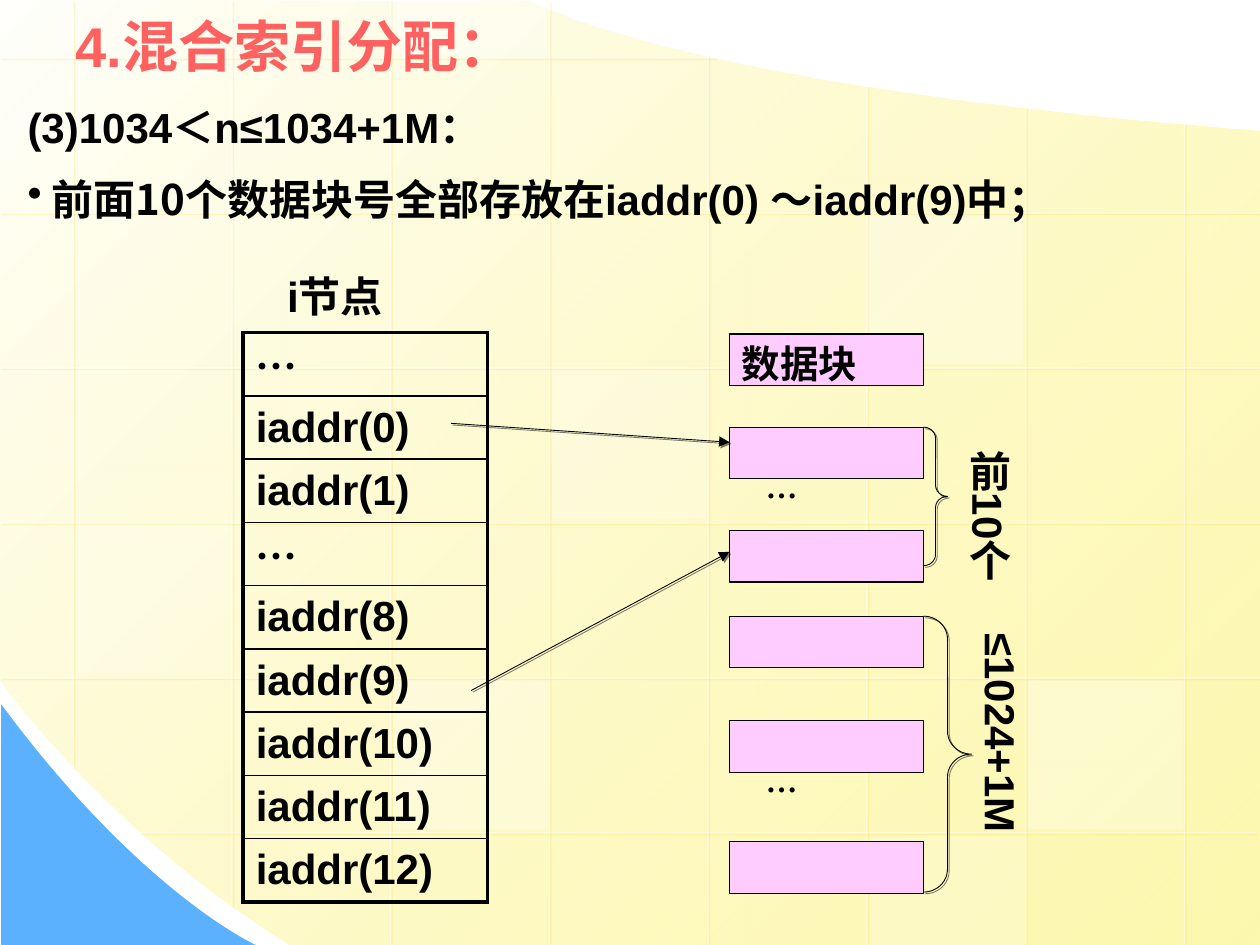
from dataclasses import dataclass

from lxml.etree import SubElement
from pptx import Presentation
from pptx.dml.color import RGBColor as RGB
from pptx.enum.shapes import MSO_CONNECTOR as CONN, MSO_SHAPE as SHAPE
from pptx.enum.text import MSO_ANCHOR as ANCHOR, PP_ALIGN as ALIGN
from pptx.oxml.ns import qn
from pptx.util import Inches, Pt


@dataclass(frozen=True)
class Theme:
    ink: str = "000000"
    title: str = "FF6161"
    white: str = "FFFFFF"
    cream: str = "FFFFFB"
    yellow: str = "FDF58D"
    gold: str = "FFCC00"
    blue: str = "5CB1FE"
    block: str = "FFCCFF"
    latin: str = "Arial"
    serif: str = "Times New Roman"
    cjk: str = "Noto Sans CJK SC"
    title_size: int = 32
    body_size: int = 24
    block_size: int = 22
    dots_size: int = 18


def add(parent, tag, **attrs):
    return SubElement(parent, qn(tag), {k: str(v) for k, v in attrs.items()})


def set_alpha(color, percent):
    add(color, "a:alpha", val=percent * 1000)


def add_shadow(effects, color, percent):
    shadow = add(effects, "a:outerShdw", dist=Pt(1.4), dir=2700000,
                 algn="ctr", rotWithShape=0)
    set_alpha(add(shadow, "a:srgbClr", val=color), percent)


def bezier(p0, p1, p2, p3, steps=40):
    for i in range(1, steps + 1):
        t = i / steps
        u = 1 - t
        yield tuple(u**3 * a + 3 * u * u * t * b + 3 * u * t * t * c + t**3 * d
                    for a, b, c, d in zip(p0, p1, p2, p3))


class SlideBuilder:
    def __init__(self, slide, theme):
        self.slide = slide
        self.theme = theme
        self.shapes = slide.shapes

    def style(self, p, size, name=None, color=None, shadow=False):
        font = p.font
        font.size, font.bold = Pt(size), True
        font.color.rgb = RGB.from_string(color or self.theme.ink)
        font.name = name or self.theme.latin
        props = p._p.pPr.find(qn("a:defRPr"))
        ea = add(props, "a:ea", typeface=self.theme.cjk)
        props.find(qn("a:latin")).addnext(ea)
        if shadow:
            effects = add(props, "a:effectLst")
            props.find(qn("a:solidFill")).addnext(effects)
            add_shadow(effects, self.theme.ink, 50)

    def text(self, box, text, size, anchor=ANCHOR.TOP, vertical=False, **look):
        tf = self.shapes.add_textbox(*map(Inches, box)).text_frame
        tf.word_wrap = True
        tf.vertical_anchor = anchor
        if vertical:
            tf._txBody.bodyPr.set("vert", "eaVert")
        p = tf.paragraphs[0]
        p.add_run().text = text
        self.style(p, size, **look)
        return tf

    def bullet(self, tf, runs):
        p = tf.add_paragraph()
        p.space_before = Pt(12)
        props = p._p.get_or_add_pPr()
        props.set("marL", str(Inches(0.19)))
        props.set("indent", str(-Inches(0.19)))
        add(add(props, "a:buClr"), "a:srgbClr", val=self.theme.ink)
        add(props, "a:buChar", char="•")
        for text, name in runs:
            r = p.add_run()
            r.text, r.font.name = text, name
        self.style(p, self.theme.body_size, shadow=True)

    def line(self, start, end, color, width, alpha=100, shadow=None, arrow=False):
        ln = self.shapes.add_connector(CONN.STRAIGHT, *map(Inches, start + end))
        ln.line.color.rgb = RGB.from_string(color)
        ln.line.width = Pt(width)
        props = ln._element.spPr
        if alpha < 100:
            set_alpha(next(props.iter(qn("a:srgbClr"))), alpha)
        if arrow:
            add(props.find(qn("a:ln")), "a:tailEnd", type="triangle")
        effects = add(props, "a:effectLst")
        if shadow:
            add_shadow(effects, *shadow)

    def rect(self, box, color, alpha=100, border=None):
        sp = self.shapes.add_shape(SHAPE.RECTANGLE, *map(Inches, box))
        sp.shadow.inherit = False
        sp.fill.solid()
        sp.fill.fore_color.rgb = RGB.from_string(color)
        if alpha < 100:
            set_alpha(next(sp._element.spPr.iter(qn("a:srgbClr"))), alpha)
        if border:
            sp.line.color.rgb = RGB.from_string(self.theme.ink)
            sp.line.width = Pt(border)
        else:
            sp.line.fill.background()
        return sp

    def block(self, top, label=None):
        sp = self.rect((5.79, top, 1.54, 0.41), self.theme.block, border=0.75)
        if label:
            tf = sp.text_frame
            tf.vertical_anchor = ANCHOR.TOP
            p = tf.paragraphs[0]
            p.alignment = ALIGN.LEFT
            p.add_run().text = label
            self.style(p, self.theme.block_size, self.theme.serif)

    def brace(self, box, curve):
        sp = self.shapes.add_shape(SHAPE.RIGHT_BRACE, *map(Inches, box))
        sp.adjustments[0] = curve
        sp.fill.background()
        sp.line.color.rgb = RGB.from_string(self.theme.ink)
        sp.line.width = Pt(0.5)
        sp.shadow.inherit = False
        add_shadow(sp._element.spPr.find(qn("a:effectLst")), self.theme.ink, 50)

    def outline(self, points):
        x, y = points[0]
        fb = self.shapes.build_freeform(Inches(x), Inches(y))
        fb.add_line_segments([(Inches(a), Inches(b)) for a, b in points[1:]])
        sp = fb.convert_to_shape()
        sp.shadow.inherit = False
        sp.line.fill.background()
        return sp

    def table(self, box, labels):
        tbl = self.shapes.add_table(len(labels), 1, *map(Inches, box)).table
        tbl.first_row = tbl.horz_banding = False
        last = len(labels) - 1
        for i, label in enumerate(labels):
            cell = tbl.cell(i, 0)
            cell.fill.background()
            cell.margin_top = cell.margin_bottom = 0
            cell.vertical_anchor = ANCHOR.MIDDLE
            p = cell.text_frame.paragraphs[0]
            p.add_run().text = label
            self.style(p, self.theme.body_size,
                       self.theme.cjk if label == "…" else None)
            widths = {"L": 2.25, "R": 2.25, "T": 1 if i else 2.25,
                      "B": 1 if i < last else 2.25}
            props = cell._tc.tcPr
            for pos, (side, width) in enumerate(widths.items()):
                ln = add(props, f"a:ln{side}", w=Pt(width))
                add(add(ln, "a:solidFill"), "a:srgbClr", val=self.theme.ink)
                props.insert(pos, ln)


def draw_background(s, theme):
    page = s.outline([(10, 1.04), (10, 7.5), (2.3, 7.5),
                      *bezier((2.3, 7.5), (0.86, 6.61), (-0.01, 5.39), (0, 5.39)),
                      (0, 0), (4.21, 0.01),
                      *bezier((4.21, 0.01), (4.21, 0.01), (5.37, 0.69), (10, 1.04))])
    page.fill.gradient()
    page.fill.gradient_angle = 315
    for stop, color, pos in zip(page.fill.gradient_stops,
                                (theme.cream, theme.yellow), (0, 1)):
        stop.color.rgb = RGB.from_string(color)
        stop.position = pos
    set_alpha(list(page._element.spPr.iter(qn("a:srgbClr")))[1], 70)

    corner = s.outline([(0.01, 5.59), (0.01, 7.5), (2.03, 7.5),
                        *bezier((2.03, 7.5), (2.03, 7.5), (1.12, 7.09), (0.01, 5.59))])
    corner.fill.solid()
    corner.fill.fore_color.rgb = RGB.from_string(theme.blue)

    grid = dict(color=theme.white, width=0.75, alpha=50, shadow=(theme.gold, 34))
    spans = [(0, 6.09), (0, 7.19), (0, 7.5), (0, 7.5),
             (0.43, 7.5), (0.68, 7.5), (0.85, 7.5), (0.98, 7.5)]
    for i, (top, bottom) in enumerate(spans):
        x = 0.58 + 1.26 * i
        s.line((x, top), (x, bottom), **grid)
    for i, (right, left) in enumerate([(5.68, 0), *[(10, 0)] * 4, (9.97, 1.11)]):
        y = 0.46 + 1.23 * i
        s.line((right, y), (left, y), **grid)
    for x, y, height, alpha in [(4.38, 2.94, 1.18, 25), (8.16, 5.4, 1.18, 30),
                                (0.6, 4.16, 1.18, 20), (6.9, 6.63, 0.87, 20),
                                (3.11, 0, 0.44, 40), (3.12, 5.4, 1.18, 30),
                                (6.89, 1.71, 1.18, 30)]:
        s.rect((x, y, 1.23, height), theme.white, alpha)


def main():
    prs = Presentation()
    prs.slide_width, prs.slide_height = Inches(10), Inches(7.5)
    theme = Theme()
    s = SlideBuilder(prs.slides.add_slide(prs.slide_layouts[6]), theme)
    draw_background(s, theme)

    s.text((0.5, 0.04, 9, 0.64), "4.混合索引分配：", theme.title_size,
           ANCHOR.MIDDLE, color=theme.title)
    body = s.text((0.12, 0.76, 8.98, 1.1), "(3)1034＜n≤1034+1M：",
                  theme.body_size, shadow=True)
    s.bullet(body, [("前面10个数据块号全部存放在", theme.cjk),
                    ("iaddr(0) ～iaddr(9)", theme.latin), ("中；", theme.cjk)])

    s.text((2.18, 2.1, 1.56, 0.5), "i节点", theme.body_size, shadow=True)
    s.table((1.93, 2.64, 1.94, 4.52),
            ["…", "iaddr(0)", "iaddr(1)", "…",
             *[f"iaddr({n})" for n in range(8, 13)]])

    s.block(2.65, "数据块")
    for top in (3.39, 4.21, 4.89, 5.72, 6.68):
        s.block(top)
    for top in (3.66, 5.99):
        s.text((5.98, top, 1.35, 0.4), "…", theme.dots_size, name=theme.serif)
    for start, end in [((3.58, 3.36), (5.79, 3.51)), ((3.74, 5.48), (5.79, 4.38))]:
        s.line(start, end, theme.ink, 0.5, shadow=(theme.ink, 50), arrow=True)

    s.brace((7.33, 3.39, 0.19, 1.1), 0.47)
    s.brace((7.33, 4.89, 0.38, 2.19), 0.48)
    for box, label in [((7.5, 3.48, 0.6, 1.37), "前10个"),
                       ((7.6, 4.93, 0.6, 2.1), "≤1024+1M")]:
        s.text(box, label, theme.body_size, vertical=True, shadow=True)


    prs.save("out.pptx")


if __name__ == "__main__":
    main()
